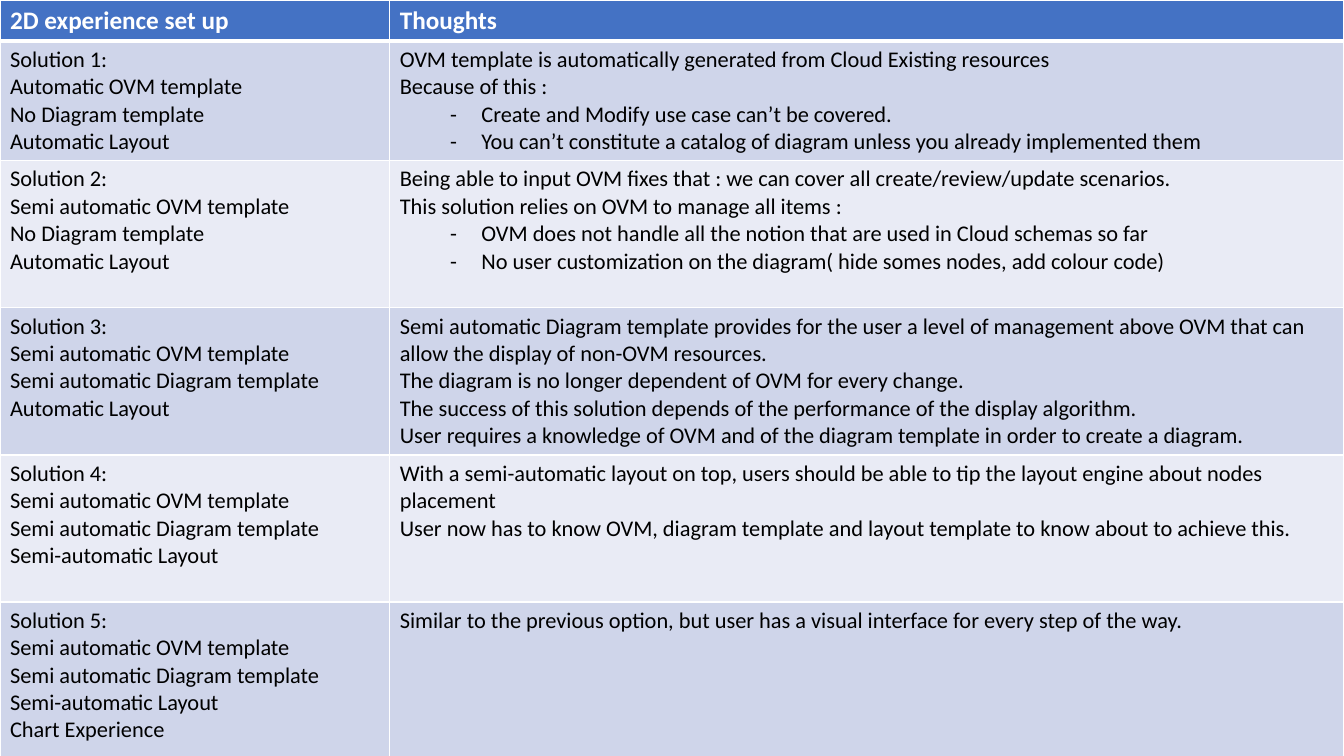
from dataclasses import dataclass

from lxml.etree import SubElement
from pptx import Presentation
from pptx.dml.color import RGBColor as Rgb
from pptx.oxml.ns import qn
from pptx.util import Inches, Pt

WHITE = Rgb(0xFF, 0xFF, 0xFF)
BLACK = Rgb(0, 0, 0)
BLUE = Rgb(0x44, 0x72, 0xC4)
BANDS = Rgb(0xCF, 0xD5, 0xEA), Rgb(0xE9, 0xEB, 0xF5)
FONT = "Calibri"
WIDTH, HEIGHT = Inches(13.33), Inches(7.5)
SPLIT = 0.29
HEAD = 0.054
LINE = Inches(0.272)
PAD = Inches(0.05)
DASH = "- "


@dataclass
class Row:
    lines: float
    setup: list[str]
    thoughts: list[str]


@dataclass
class Style:
    size: int
    color: Rgb
    fill: Rgb
    bold: bool = False
    top: int = 1
    base: int = 1


SEMI = "Semi automatic OVM template"
PLAIN = "No Diagram template"
DRAWN = "Semi automatic Diagram template"
AUTO = "Automatic Layout"
GUIDED = "Semi-automatic Layout"

ROWS = [
    Row(4, ["Automatic OVM template", PLAIN, AUTO], [
        "OVM template is automatically generated from Cloud Existing resources",
        "Because of this :",
        "- Create and Modify use case can’t be covered.",
        "- You can’t constitute a catalog of diagram unless you already implemented them",
    ]),
    Row(5, [SEMI, PLAIN, AUTO], [
        "Being able to input OVM fixes that : we can cover all create/review/update scenarios.",
        "This solution relies on OVM to manage all items : ",
        "- OVM does not handle all the notion that are used in Cloud schemas so far",
        "- No user customization on the diagram( hide somes nodes, add colour code)",
    ]),
    Row(5, [SEMI, DRAWN, AUTO], [
        "Semi automatic Diagram template provides for the user a level of management "
        "above OVM that can allow the display of non-OVM resources.",
        "The diagram is no longer dependent of OVM for every change.",
        "The success of this solution depends of the performance of the display algorithm.",
        "User requires a knowledge of OVM and of the diagram template in order to create a diagram.",
    ]),
    Row(5, [SEMI, DRAWN, GUIDED], [
        "With a semi-automatic layout on top, users should be able to tip the layout "
        "engine about nodes placement",
        "User now has to know OVM, diagram template and layout template to know about to achieve this.",
    ]),
    Row(5.5, [SEMI, DRAWN, GUIDED, "Chart Experience"], [
        "Similar to the previous option, but user has a visual interface for every step of the way.",
    ]),
]


def add_edge(cell, side: str, width: int) -> None:
    edge = SubElement(cell._tc.get_or_add_tcPr(), qn(f"a:ln{side}"), w=str(Pt(width)))
    SubElement(SubElement(edge, qn("a:solidFill")), qn("a:srgbClr"), val=str(WHITE))


def add_dash(para) -> None:
    para.level = 1
    props = para._p.get_or_add_pPr()
    props.set("marL", str(Inches(0.81)))
    props.set("indent", str(Inches(-0.31)))
    SubElement(props, qn("a:buFont"), typeface=FONT)
    SubElement(props, qn("a:buChar"), char="-")


def fill_cell(cell, texts: list[str], style: Style) -> None:
    for side, width in zip("LRTB", (1, 1, style.top, style.base)):
        add_edge(cell, side, width)
    cell.fill.solid()
    cell.fill.fore_color.rgb = style.fill
    frame = cell.text_frame
    for i, text in enumerate(texts):
        para = frame.add_paragraph() if i else frame.paragraphs[0]
        if text.startswith(DASH):
            add_dash(para)
        run = para.add_run()
        run.text = text.removeprefix(DASH)
        font = run.font
        font.name, font.size, font.bold = FONT, Pt(style.size), style.bold
        font.color.rgb = style.color


deck = Presentation()
deck.slide_width, deck.slide_height = WIDTH, HEIGHT
slide = deck.slides.add_slide(deck.slide_layouts[6])

heights = [int(HEIGHT * HEAD)] + [int(row.lines * LINE + 2 * PAD) for row in ROWS]
frame = slide.shapes.add_table(len(heights), 2, 0, 0, WIDTH, sum(heights))
table = frame.table
for column, share in zip(table.columns, (SPLIT, 1 - SPLIT)):
    column.width = int(WIDTH * share)
for line, height in zip(table.rows, heights):
    line.height = height

head = Style(18, WHITE, BLUE, bold=True, base=3)
for col, text in enumerate(("2D experience set up", "Thoughts")):
    fill_cell(table.cell(0, col), [text], head)

for num, row in enumerate(ROWS, 1):
    style = Style(16, BLACK, BANDS[(num - 1) % 2], top=3 if num == 1 else 1)
    fill_cell(table.cell(num, 0), [f"Solution {num}: ", *row.setup], style)
    fill_cell(table.cell(num, 1), row.thoughts, style)

deck.save("out.pptx")
